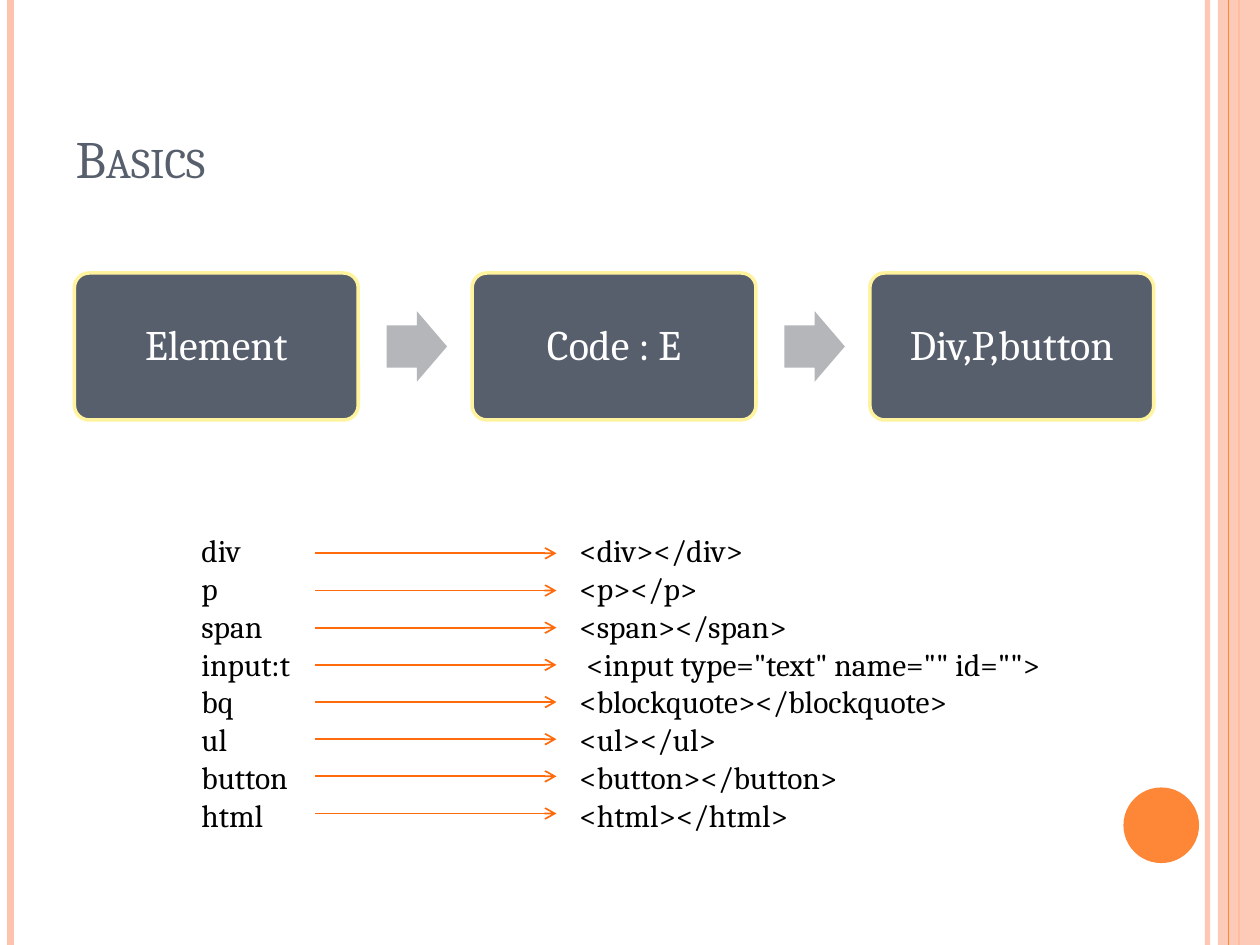
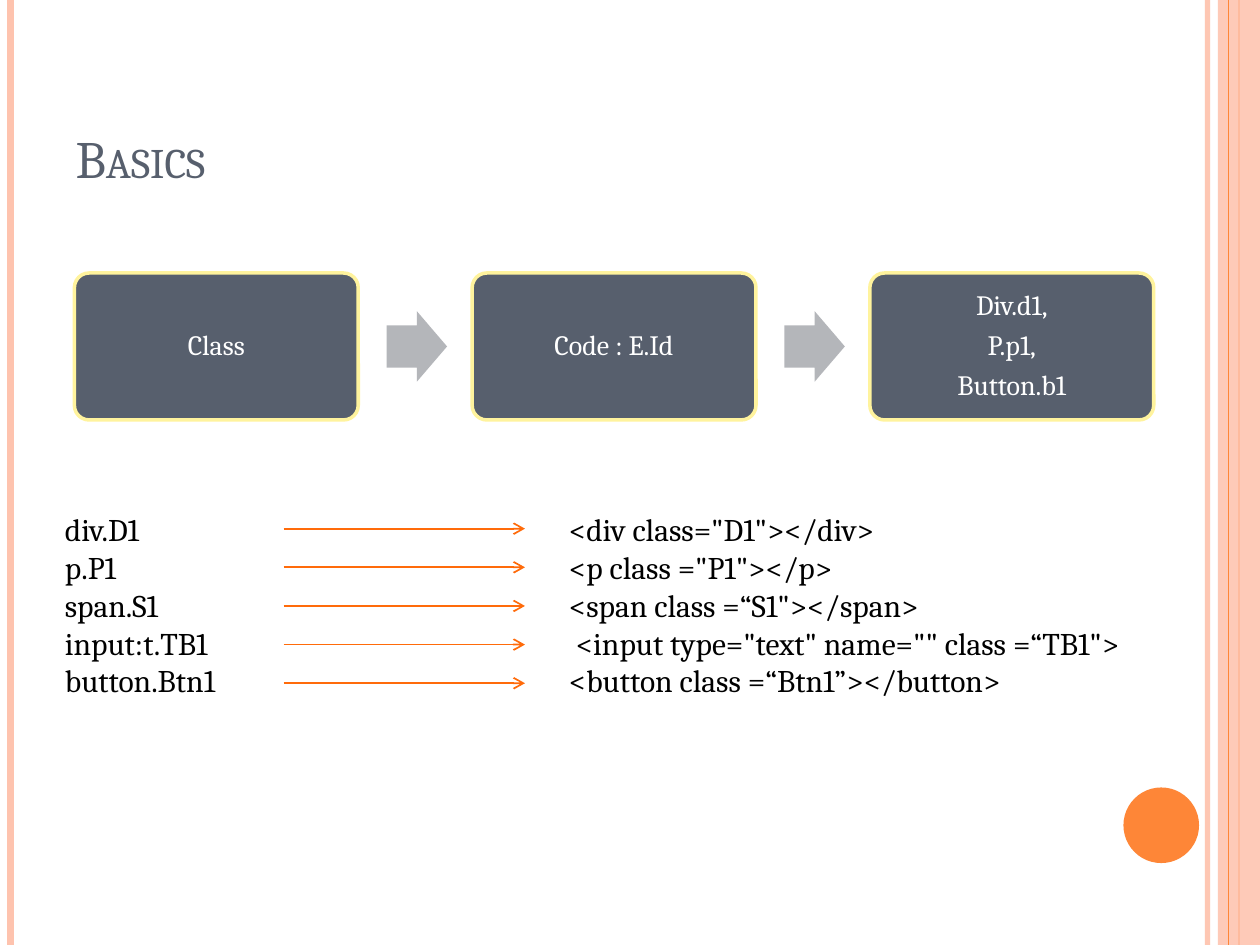
from dataclasses import dataclass

from lxml.etree import SubElement
from pptx import Presentation
from pptx.dml.color import RGBColor
from pptx.enum.shapes import MSO_CONNECTOR, MSO_SHAPE
from pptx.enum.text import MSO_ANCHOR, PP_ALIGN
from pptx.oxml.ns import qn
from pptx.util import Inches, Pt

COLS, ROWS = 120, 90          # grid over the whole slide
WIDTH, HEIGHT = Inches(10), Inches(7.5)


@dataclass(frozen=True)
class Theme:
    font: str = "Cambria"
    slate: str = "575F6D"
    grey: str = "B4B6BA"
    yellow: str = "FFF39D"
    peach: str = "FEC3AE"
    orange: str = "FE8637"
    arrow: str = "FF6B0A"
    white: str = "FFFFFF"
    black: str = "000000"
    title_size: int = 30
    list_size: int = 18


@dataclass(frozen=True)
class Box:
    """A region in grid columns and rows."""
    left: float
    top: float
    width: float
    height: float

    def place(self):
        return col(self.left), row(self.top), col(self.width), row(self.height)


THEME = Theme()
TITLE_BOX = Box(6, 3.6, 98, 15)
FLOW_BOX = Box(7.08, 26, 102.8, 14)


def col(n):
    return round(WIDTH * n / COLS)


def row(n):
    return round(HEIGHT * n / ROWS)


def rgb(color):
    return RGBColor.from_string(color)


def add_alpha(fill_parent, percent):
    """Make the solid fill inside an XML element partly transparent."""
    color = fill_parent.find(qn("a:solidFill"))[0]
    SubElement(color, qn("a:alpha"), val=str(percent * 1000))


def add_run(p, text, size, color):
    r = p.add_run()
    r.text = text
    r.font.name, r.font.size = THEME.font, Pt(size)
    r.font.color.rgb = rgb(color)
    return r


def add_line(s, start, end, color, width, alpha=None, arrow=False):
    (x1, y1), (x2, y2) = start, end
    line = s.shapes.add_connector(MSO_CONNECTOR.STRAIGHT, col(x1), row(y1), col(x2), row(y2))
    line.line.color.rgb, line.line.width = rgb(color), Pt(width)
    sp_pr = line._element.spPr
    ln = sp_pr.find(qn("a:ln"))
    if alpha:
        add_alpha(ln, alpha)
    if arrow:
        SubElement(ln, qn("a:tailEnd"), type="arrow")
    SubElement(sp_pr, qn("a:effectLst"))


def add_figure(s, kind, box, fill, outline=None, width=0):
    sp = s.shapes.add_shape(kind, *box.place())
    sp.shadow.inherit = False
    sp.fill.solid()
    sp.fill.fore_color.rgb = rgb(fill)
    if outline:
        sp.line.color.rgb, sp.line.width = rgb(outline), Pt(width)
    else:
        sp.line.fill.background()
    return sp


def add_bands(s):
    """Draw the side stripes and the corner disc."""
    def stripe(x, color, width, alpha=None):
        add_line(s, (x, 0), (x, ROWS), color, width, alpha)

    stripe(115, THEME.peach, 3, alpha=93)
    stripe(1, THEME.peach, 4.5)
    stripe(118, THEME.orange, 1.5)
    band = add_figure(s, MSO_SHAPE.RECTANGLE, Box(116, 0, 4, ROWS), THEME.peach)
    add_alpha(band._element.spPr, 87)
    stripe(117, THEME.orange, 0.75)
    add_figure(s, MSO_SHAPE.OVAL, Box(107, 75, 7.2, 7.2), THEME.orange)


def add_title(s, text, box):
    title = s.shapes.title
    title.left, title.top, title.width, title.height = box.place()
    tf = title.text_frame
    tf.vertical_anchor = MSO_ANCHOR.BOTTOM
    p = tf.paragraphs[0]
    p.alignment = PP_ALIGN.LEFT
    r = add_run(p, text, THEME.title_size, THEME.slate)
    r.font._element.set("cap", "small")


def add_card(s, box, lines, size):
    card = add_figure(s, MSO_SHAPE.ROUNDED_RECTANGLE, box, THEME.slate, THEME.yellow, 2)
    card.adjustments[0] = 0.1
    tf = card.text_frame
    tf.word_wrap = True
    tf.vertical_anchor = MSO_ANCHOR.MIDDLE
    for i, text in enumerate(lines):
        p = tf.add_paragraph() if i else tf.paragraphs[0]
        p.alignment, p.line_spacing = PP_ALIGN.CENTER, 0.9
        p.space_after = Pt(size * 0.35)
        add_run(p, text, size, THEME.white)


def add_flow(s, box, cards, size):
    """Spread cards over the box with a block arrow in each gap."""
    card_w = box.width * 0.263
    pitch = (box.width - card_w) / (len(cards) - 1)
    gap = pitch - card_w
    arrow_w, arrow_h = gap * 0.53, box.height * 0.48
    for i, lines in enumerate(cards):
        left = box.left + i * pitch
        if i:
            arrow_box = Box(left - gap * 0.75, box.top + (box.height - arrow_h) / 2,
                            arrow_w, arrow_h)
            arrow = add_figure(s, MSO_SHAPE.RIGHT_ARROW, arrow_box, THEME.grey)
            arrow.adjustments[0], arrow.adjustments[1] = 0.6, 0.5
        add_card(s, Box(left, box.top, card_w, box.height), lines, size)


def add_expansions(s, box, pairs, tab, arrow_left, arrow_top, arrow_pitch):
    """List abbreviations and their markup; arrow places are offsets in the box."""
    tf = s.shapes.add_textbox(*box.place()).text_frame
    tf.word_wrap = True
    for i, (short, markup) in enumerate(pairs):
        p = tf.add_paragraph() if i else tf.paragraphs[0]
        tabs = SubElement(p._p.get_or_add_pPr(), qn("a:tabLst"))
        SubElement(tabs, qn("a:tab"), pos=str(col(tab)), algn="l")
        add_run(p, f"{short}\t{markup}", THEME.list_size, THEME.black)
    x = box.left + arrow_left
    for i in range(len(pairs)):
        y = box.top + arrow_top + i * arrow_pitch
        add_line(s, (x, y), (x + 23, y), THEME.arrow, 1, arrow=True)


def add_basics_slide(prs, cards, card_size, **expansions):
    s = prs.slides.add_slide(prs.slide_layouts[5])
    add_bands(s)
    add_title(s, "Basics", TITLE_BOX)
    add_flow(s, FLOW_BOX, cards, card_size)
    add_expansions(s, **expansions)


def main():
    prs = Presentation()
    prs.slide_width, prs.slide_height = WIDTH, HEIGHT
    add_basics_slide(
        prs, [["Element"], ["Code : E"], ["Div,P,button"]], 24,
        box=Box(18, 50, 82.4, 40), tab=36,
        arrow_left=12, arrow_top=2.7, arrow_pitch=3.54,
        pairs=[
            ("div", "<div></div>"),
            ("p", "<p></p>"),
            ("span", "<span></span>"),
            ("input:t", ' <input type="text" name="" id="">'),
            ("bq", "<blockquote></blockquote>"),
            ("ul", "<ul></ul>"),
            ("button", "<button></button>"),
            ("html", "<html></html>"),
        ])
    add_basics_slide(
        prs, [["Class"], ["Code : E.Id"], ["Div.d1,", "P.p1,", "Button.b1"]], 16,
        box=Box(5, 48, 103.6, 26.6), tab=48,
        arrow_left=22, arrow_top=2.35, arrow_pitch=3.68,
        pairs=[
            ("div.D1", '<div class="D1"></div>'),
            ("p.P1", '<p class ="P1"></p>'),
            ("span.S1", '<span class =“S1"></span>'),
            ("input:t.TB1", ' <input type="text" name="" class =“TB1">'),
            ("button.Btn1", "<button class =“Btn1”></button>"),
        ])
    prs.save("out.pptx")


if __name__ == "__main__":
    main()
